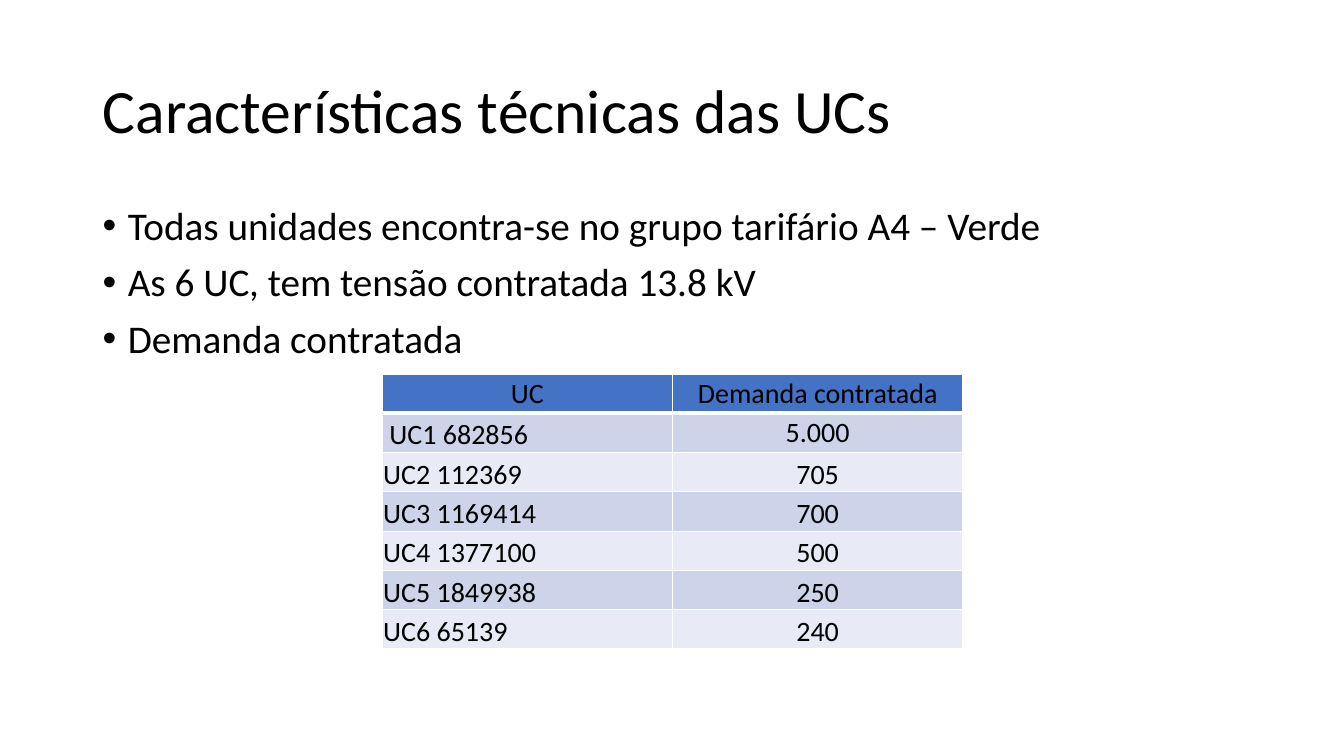
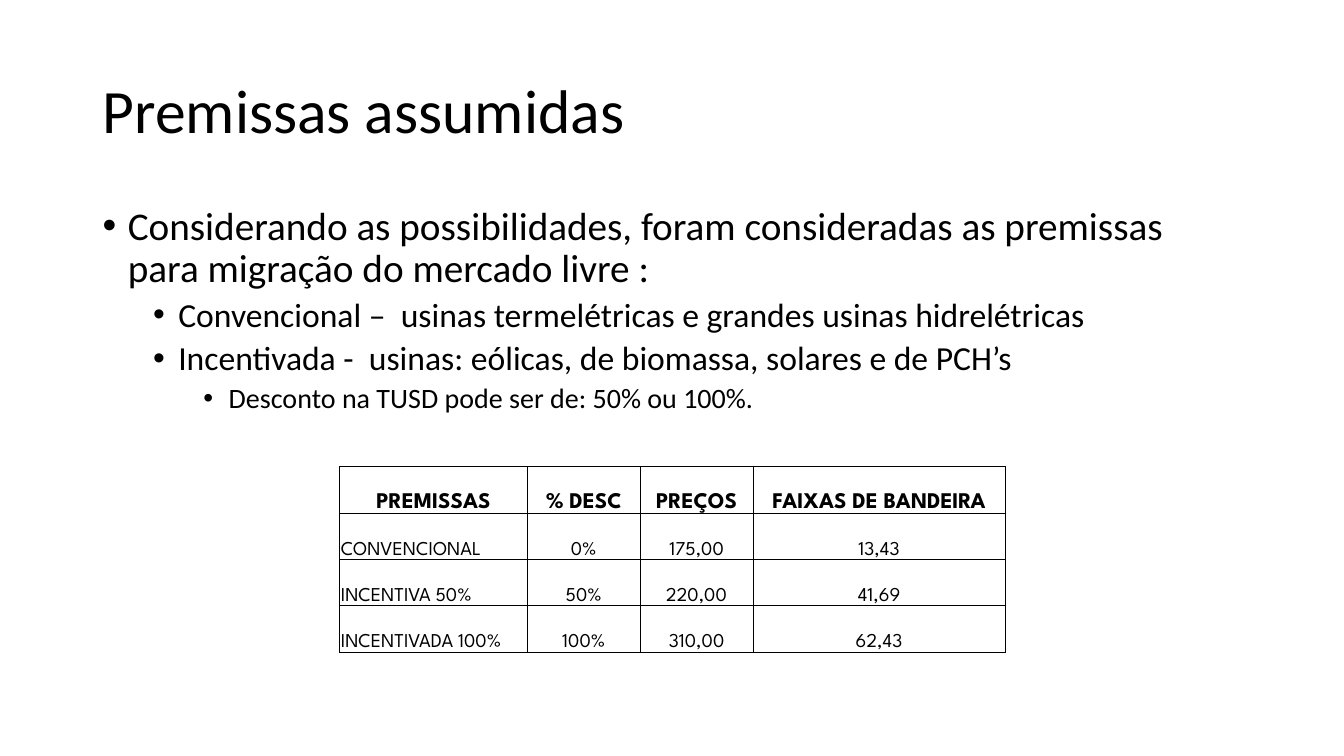
import pptx
import pptx.dml.color
import pptx.enum.text
import pptx.oxml
import pptx.oxml.ns
import pptx.util
import lxml.etree
from dataclasses import dataclass

Inches, Pt = pptx.util.Inches, pptx.util.Pt
ALIGN = pptx.enum.text.PP_ALIGN
ANCHOR = pptx.enum.text.MSO_ANCHOR
qn = pptx.oxml.ns.qn


@dataclass(frozen=True)
class Theme:
    black: str = "000000"
    white: str = "FFFFFF"
    header: str = "4472C4"
    bands: tuple = ("CDD4EA", "E8EBF5")
    font: str = "Calibri"
    premises_font: str = "League Spartan"
    title_size: int = 44
    body_sizes: tuple = (28, 24, 20)
    space_before: tuple = (10, 5, 5)
    line_spacing: float = 0.9


THEME = Theme()

# Content: bullets are (level, text); the first table row is the header
SLIDES = [
    {
        "title": "Características técnicas das UCs",
        "bullets": [
            (0, "Todas unidades encontra-se no grupo tarifário A4 – Verde"),
            (0, "As 6 UC, tem tensão contratada 13.8 kV"),
            (0, "Demanda contratada"),
        ],
        "rows": [
            ("UC", "Demanda contratada"),
            (" UC1 682856", "5.000"),
            ("UC2 112369", "705"),
            ("UC3 1169414", "700"),
            ("UC4 1377100", "500"),
            ("UC5 1849938", "250"),
            ("UC6 65139", "240"),
        ],
        "table": dict(
            left=3.79, top=3.71, widths=(2.88, 2.88), row_height=0.39,
            font=THEME.font, sizes=(20, 20), header_bold=False,
            header_fill=THEME.header, bands=THEME.bands,
            line=THEME.white, line_width=1, header_rule=3,
            middle_cells={(0, 0), (0, 1), (1, 1)},
        ),
    },
    {
        "title": "Premissas assumidas",
        "bullets": [
            (0, "Considerando as possibilidades, foram consideradas as premissas "
                "para migração do mercado livre :"),
            (1, "Convencional –  usinas termelétricas e grandes usinas hidrelétricas"),
            (1, "Incentivada -  usinas: eólicas, de biomassa, solares e de PCH’s"),
            (2, "Desconto na TUSD pode ser de: 50% ou 100%."),
        ],
        "rows": [
            ("PREMISSAS", "% DESC", "PREÇOS", "FAIXAS DE BANDEIRA"),
            ("CONVENCIONAL", "0%", "175,00", "13,43"),
            ("INCENTIVA 50%", "50%", "220,00", "41,69"),
            ("INCENTIVADA 100%", "100%", "310,00", "62,43"),
        ],
        "table": dict(
            left=3.37, top=4.63, widths=(1.86, 1.12, 1.12, 2.5), row_height=0.46,
            font=THEME.premises_font, sizes=(16, 14), header_bold=True,
            header_fill=None, bands=(None,),
            line=THEME.black, line_width=0.75, header_rule=0.75,
            middle_cells=set(),
        ),
    },
]


def write(paragraph, text, *, size, font=THEME.font, color=THEME.black,
          bold=False, align=ALIGN.LEFT, spacing=None, before=0):
    """Put formatted text in a paragraph."""
    paragraph.alignment = align
    paragraph.space_before = Pt(before)
    if spacing:
        paragraph.line_spacing = spacing
    run = paragraph.add_run()
    run.text = text
    run.font.size, run.font.name, run.font.bold = Pt(size), font, bold
    run.font.color.rgb = pptx.dml.color.RGBColor.from_string(color)


def set_frame(frame, anchor):
    frame.word_wrap = True
    frame.auto_size = pptx.enum.text.MSO_AUTO_SIZE.NONE
    frame.vertical_anchor = anchor
    frame.margin_left = frame.margin_right = Inches(0.1)
    frame.margin_top = frame.margin_bottom = Inches(0.05)


def add_bullet(paragraph, level):
    properties = paragraph._p.get_or_add_pPr()
    properties.set("marL", str(Inches(0.25 + 0.5 * level)))
    properties.set("indent", str(Inches(-0.25)))
    color = lxml.etree.SubElement(properties, qn("a:buClr"))
    lxml.etree.SubElement(color, qn("a:srgbClr"), val=THEME.black)
    lxml.etree.SubElement(properties, qn("a:buFont"), typeface="Arial")
    lxml.etree.SubElement(properties, qn("a:buChar"), char="•")


def set_borders(cell, color, widths):
    """Draw the left, right, top and bottom borders, in that order."""
    properties = cell._tc.get_or_add_tcPr()
    for index, (side, width) in enumerate(zip("LRTB", widths)):
        line = properties.makeelement(qn(f"a:ln{side}"), {"w": str(Pt(width))})
        fill = lxml.etree.SubElement(line, qn("a:solidFill"))
        lxml.etree.SubElement(fill, qn("a:srgbClr"), val=color)
        properties.insert(index, line)


def add_title(slide, text):
    title = slide.shapes.title
    title.left, title.top = Inches(0.92), Inches(0.4)
    title.width, title.height = Inches(11.5), Inches(1.45)
    set_frame(title.text_frame, ANCHOR.MIDDLE)
    write(title.text_frame.paragraphs[0], text,
          size=THEME.title_size, spacing=THEME.line_spacing)


def add_bullets(slide, bullets):
    body = slide.shapes.add_textbox(Inches(0.92), Inches(2), Inches(11.5), Inches(4.76))
    frame = body.text_frame
    set_frame(frame, ANCHOR.TOP)
    for index, (level, text) in enumerate(bullets):
        paragraph = frame.add_paragraph() if index else frame.paragraphs[0]
        paragraph.level = level
        write(paragraph, text, size=THEME.body_sizes[level],
              spacing=THEME.line_spacing,
              before=THEME.space_before[level] if index else 0)
        add_bullet(paragraph, level)


def add_table(slide, rows, *, left, top, widths, row_height, font, sizes,
              header_bold, header_fill, bands, line, line_width, header_rule,
              middle_cells):
    table = slide.shapes.add_table(
        len(rows), len(widths), Inches(left), Inches(top),
        Inches(sum(widths)), Inches(row_height * len(rows))).table
    table.first_row = table.horz_banding = False
    for column, width in zip(table.columns, widths):
        column.width = Inches(width)
    for r, row in enumerate(rows):
        table.rows[r].height = Inches(row_height)
        is_header = r == 0
        fill = header_fill if is_header else bands[(r - 1) % len(bands)]
        above = header_rule if r == 1 else line_width
        below = header_rule if is_header else line_width
        for c, text in enumerate(row):
            cell = table.cell(r, c)
            cell.margin_left = cell.margin_right = cell.margin_top = Inches(0.01)
            cell.margin_bottom = 0
            cell.vertical_anchor = (
                ANCHOR.MIDDLE if (r, c) in middle_cells else ANCHOR.BOTTOM)
            if fill:
                cell.fill.solid()
                cell.fill.fore_color.rgb = pptx.dml.color.RGBColor.from_string(fill)
            else:
                cell.fill.background()
            set_borders(cell, line, (line_width, line_width, above, below))
            write(cell.text_frame.paragraphs[0], text, font=font,
                  size=sizes[0] if is_header else sizes[1],
                  bold=is_header and header_bold,
                  align=ALIGN.CENTER if is_header or c else ALIGN.LEFT)


def main():
    deck = pptx.Presentation()
    deck.slide_width, deck.slide_height = Inches(13.33), Inches(7.5)
    title_only = deck.slide_layouts[5]
    for content in SLIDES:
        slide = deck.slides.add_slide(title_only)
        add_title(slide, content["title"])
        add_bullets(slide, content["bullets"])
        add_table(slide, content["rows"], **content["table"])
    deck.save("out.pptx")


if __name__ == "__main__":
    main()
